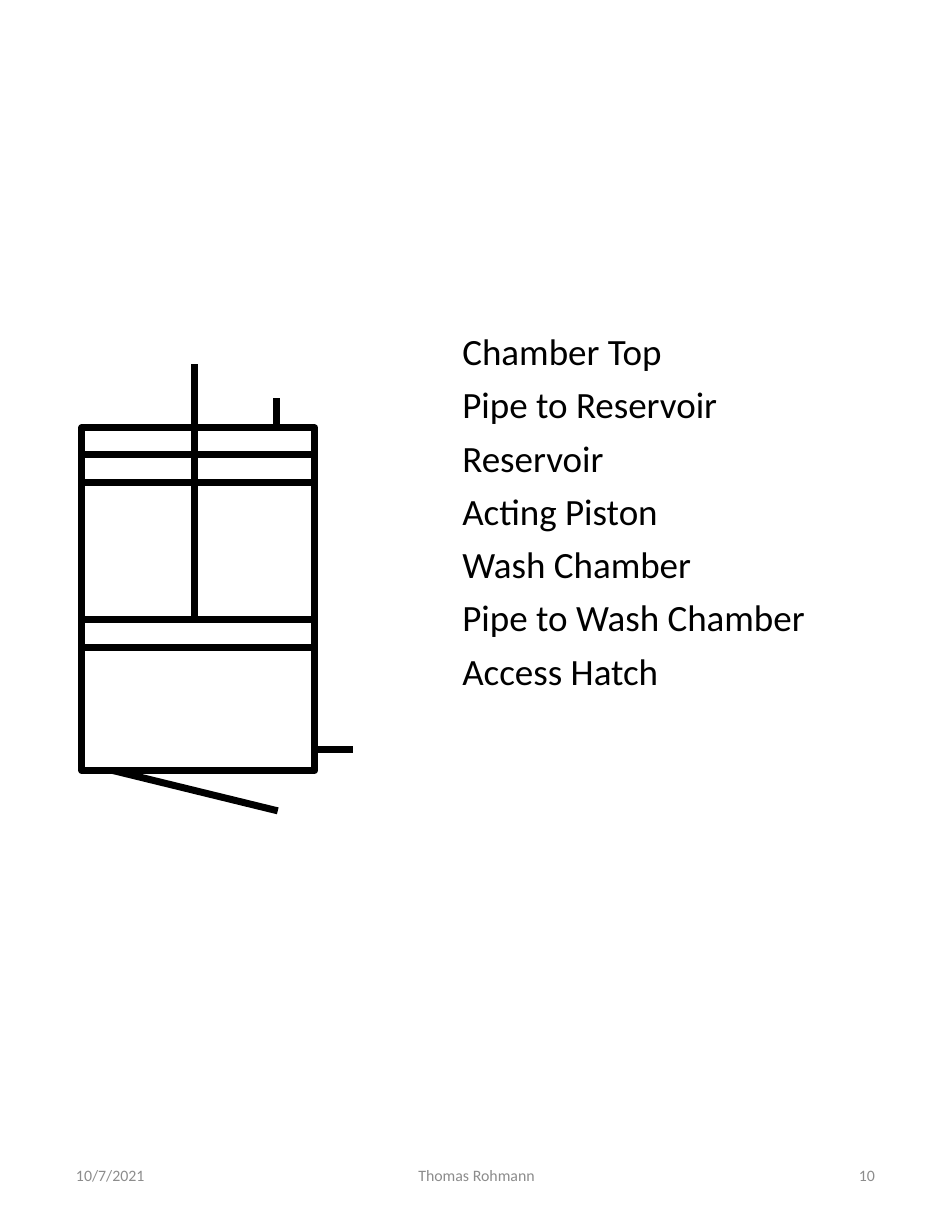
from dataclasses import dataclass

from lxml import etree
from pptx import Presentation
from pptx.dml.color import RGBColor
from pptx.enum import shapes as sh, text as tx
from pptx.oxml.ns import qn
from pptx.util import Inches, Pt

HUES = {"ink": "000000", "paper": "FFFFFF", "foot": "8C8C8C"}
PEN = Pt(4.5)
LEFT, WIDTH = 0.73, 2.08  # the chamber and all plates share these


@dataclass
class Plate:
    top: float
    high: float


@dataclass
class Rod:
    x1: float
    y1: float
    x2: float
    y2: float


@dataclass
class Note:
    left: float
    top: float
    wide: float
    high: float
    lines: list[str]
    size: float
    hue: str
    frame: dict
    para: dict


PLATES = [Plate(3.82, 3.06), Plate(5.53, 0.25), Plate(4.06, 0.25)]
RODS = [
    Rod(1.01, 6.88, 2.48, 7.24),  # access hatch
    Rod(1.74, 5.53, 1.74, 3.25),  # piston rod
    Rod(2.47, 3.82, 2.47, 3.55),  # pipe to reservoir
    Rod(2.82, 6.69, 3.15, 6.69),  # pipe to wash chamber
]
PARTS = ["Chamber Top", "Pipe to Reservoir", "Reservoir", "Acting Piston",
         "Wash Chamber", "Pipe to Wash Chamber", "Access Hatch"]
FEET = [
    (0.58, 1.91, "10/7/2021", tx.PP_ALIGN.LEFT),
    (2.82, 2.87, "Thomas Rohmann", tx.PP_ALIGN.CENTER),
    (6, 1.91, "10", tx.PP_ALIGN.RIGHT),
]


def tint(name: str) -> RGBColor:
    return RGBColor.from_string(HUES[name])


def apply(item, form: dict) -> None:
    for key, val in form.items():
        setattr(item, key, val)


def ink(line) -> None:
    line.color.rgb = tint("ink")
    line.width = PEN


def draw_plate(slide, plate: Plate) -> None:
    box = slide.shapes.add_shape(
        sh.MSO_SHAPE.RECTANGLE, Inches(LEFT), Inches(plate.top),
        Inches(WIDTH), Inches(plate.high))
    box.shadow.inherit = False
    box.fill.solid()
    box.fill.fore_color.rgb = tint("paper")
    ink(box.line)


def draw_rod(slide, rod: Rod) -> None:
    line = slide.shapes.add_connector(
        sh.MSO_CONNECTOR.STRAIGHT, Inches(rod.x1), Inches(rod.y1),
        Inches(rod.x2), Inches(rod.y2))
    ink(line.line)
    etree.SubElement(line._element.spPr, qn("a:effectLst"))


def draw_note(slide, note: Note) -> None:
    box = slide.shapes.add_textbox(
        Inches(note.left), Inches(note.top),
        Inches(note.wide), Inches(note.high))
    frame = box.text_frame
    apply(frame, {"word_wrap": True, **note.frame})
    frame.text = "\n".join(note.lines)
    for para in frame.paragraphs:
        apply(para, note.para)
        font = para.runs[0].font
        apply(font, {"name": "Calibri", "size": Pt(note.size)})
        font.color.rgb = tint(note.hue)


def main() -> None:
    deck = Presentation()
    apply(deck, {"slide_width": Inches(8.5), "slide_height": Inches(11)})
    slide = deck.slides.add_slide(deck.slide_layouts[6])

    draw_note(slide, Note(4.03, 2.93, 3.89, 6.98, PARTS, 23.8, "ink", {},
                          {"line_spacing": 0.9, "space_before": Pt(8.5)}))
    for left, wide, word, side in FEET:
        draw_note(slide, Note(left, 10.2, wide, 0.59, [word], 10.2, "foot",
                              {"vertical_anchor": tx.MSO_ANCHOR.MIDDLE},
                              {"alignment": side}))
    for plate in PLATES:
        draw_plate(slide, plate)
    for rod in RODS:
        draw_rod(slide, rod)

    deck.save("out.pptx")


if __name__ == "__main__":
    main()
